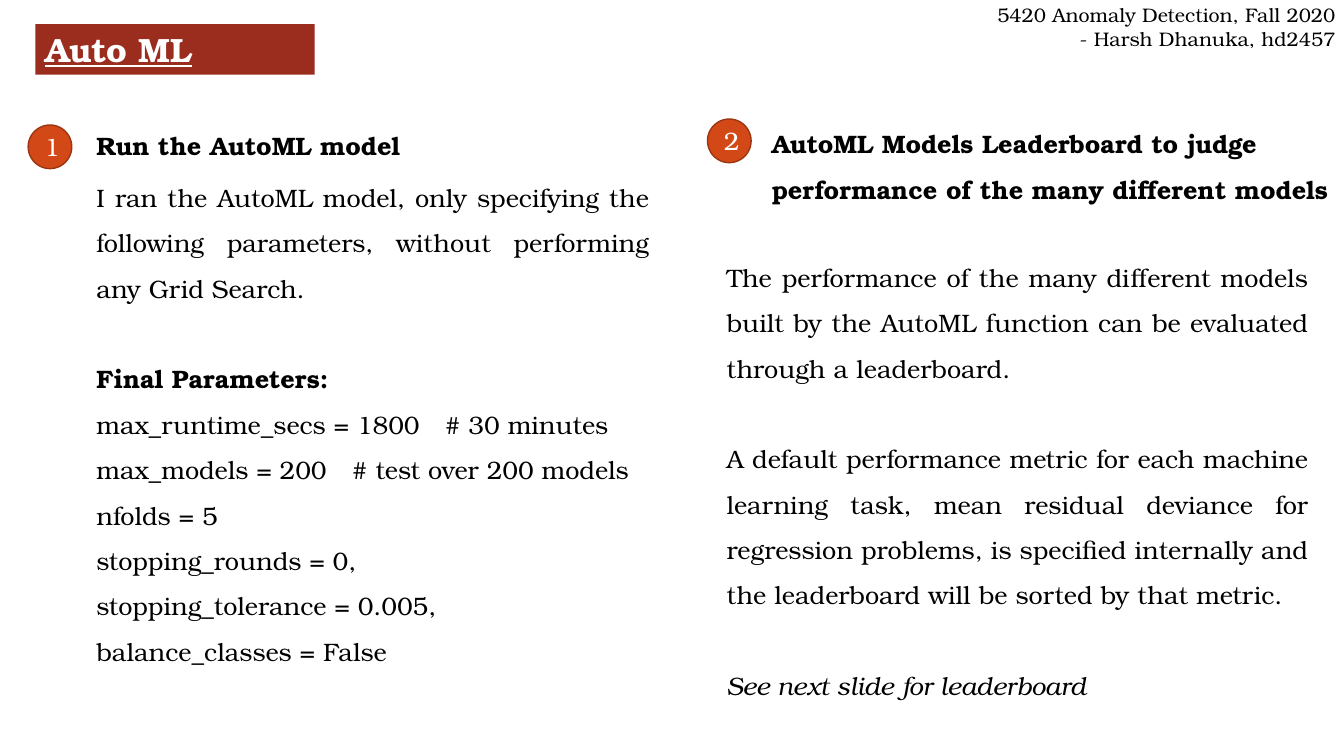
from dataclasses import dataclass

from lxml.etree import SubElement
from pptx import Presentation
from pptx.dml.color import RGBColor
from pptx.enum.shapes import MSO_SHAPE
from pptx.enum.text import MSO_ANCHOR, PP_ALIGN
from pptx.oxml.ns import qn
from pptx.shapes.autoshape import Shape
from pptx.slide import Slide
from pptx.util import Cm, Pt

FONT_NAME = "TeX Gyre Bonum"
BLACK, WHITE = "000000", "FFFFFF"
BANNER_RED, BADGE_ORANGE, BADGE_OUTLINE = "9B2D1F", "D34817", "9C3511"
BLANK_LINE = 32.4
BADGE_SIZE = 1.1
COMMENT_STOPS = (6.44, 8.78)


@dataclass(frozen=True)
class Line:
    text: str
    size: float = 18
    color: str = BLACK
    bold: bool = False
    italic: bool = False
    underline: bool = False
    align: PP_ALIGN = PP_ALIGN.LEFT
    spacing: float = 1.0
    gap_before: float = 0
    tab_stops: tuple[float, ...] = ()


@dataclass(frozen=True)
class TextBlock:
    left: float
    top: float
    width: float
    height: float
    lines: tuple[Line, ...]


@dataclass(frozen=True)
class Badge:
    left: float
    top: float
    number: str


def body(text: str, gap_before: float = 0, bold: bool = False,
         italic: bool = False, tab_stops: tuple[float, ...] = ()) -> Line:
    return Line(text, bold=bold, italic=italic, align=PP_ALIGN.JUSTIFY,
                spacing=1.5, gap_before=gap_before, tab_stops=tab_stops)


TITLE = TextBlock(0.89, 0.61, 7.04, 1.27, (
    Line("Auto ML", size=24, color=WHITE, bold=True, underline=True),
))

TEXT_BLOCKS = (
    TextBlock(22.99, -0.05, 10.92, 1.45, (
        Line("5420 Anomaly Detection, Fall 2020", size=14, align=PP_ALIGN.RIGHT),
        Line("- Harsh Dhanuka, hd2457", size=14, align=PP_ALIGN.RIGHT),
    )),
    TextBlock(2.18, 3.15, 14.71, 1.02, (Line("Run the AutoML model", bold=True),)),
    TextBlock(2.18, 4.09, 14.43, 12.8, (
        body("I ran the AutoML model, only specifying the following parameters, "
             "without performing any Grid Search."),
        body("Final Parameters:", gap_before=BLANK_LINE, bold=True),
        body("max_runtime_secs = 1800\t# 30 minutes", tab_stops=COMMENT_STOPS),
        body("max_models = 200\t# test over 200 models", tab_stops=COMMENT_STOPS),
        body("nfolds = 5"),
        body("stopping_rounds = 0,"),
        body("stopping_tolerance = 0.005,"),
        body("balance_classes = False"),
    )),
    TextBlock(19.2, 2.74, 14.71, 2.44, (
        Line("AutoML Models Leaderboard to judge performance of the many "
             "different models", bold=True, spacing=1.5),
    )),
    TextBlock(18.06, 6.1, 15.16, 11.66, (
        body("The performance of the many different models built by the AutoML "
             "function can be evaluated through a leaderboard."),
        body("A default performance metric for each machine learning task, mean "
             "residual deviance for regression problems, is specified internally "
             "and the leaderboard will be sorted by that metric.",
             gap_before=BLANK_LINE),
        body("See next slide for leaderboard", gap_before=BLANK_LINE, italic=True),
    )),
)

BADGES = (Badge(0.71, 3.15, "1"), Badge(17.83, 3.0, "2"))


def rgb(hex_color: str) -> RGBColor:
    return RGBColor.from_string(hex_color)


def write_lines(shape: Shape, lines: tuple[Line, ...], anchor: MSO_ANCHOR) -> None:
    frame = shape.text_frame
    frame.word_wrap = True
    frame.vertical_anchor = anchor
    for index, line in enumerate(lines):
        paragraph = frame.add_paragraph() if index else frame.paragraphs[0]
        paragraph.text = line.text
        paragraph.alignment = line.align
        paragraph.line_spacing = line.spacing
        paragraph.space_before = Pt(line.gap_before)
        if line.tab_stops:
            tab_list = SubElement(paragraph._p.get_or_add_pPr(), qn("a:tabLst"))
            for stop in line.tab_stops:
                SubElement(tab_list, qn("a:tab"), pos=str(Cm(stop)), algn="l")
        font = paragraph.font
        font.name = FONT_NAME
        font.size = Pt(line.size)
        font.bold = line.bold
        font.italic = line.italic
        font.underline = line.underline
        font.color.rgb = rgb(line.color)


def draw_text_block(slide: Slide, block: TextBlock) -> None:
    shape = slide.shapes.add_textbox(
        Cm(block.left), Cm(block.top), Cm(block.width), Cm(block.height))
    write_lines(shape, block.lines, MSO_ANCHOR.TOP)


def draw_title(slide: Slide, title: TextBlock) -> None:
    shape = slide.shapes.add_shape(
        MSO_SHAPE.RECTANGLE,
        Cm(title.left), Cm(title.top), Cm(title.width), Cm(title.height))
    shape.shadow.inherit = False
    shape.fill.solid()
    shape.fill.fore_color.rgb = rgb(BANNER_RED)
    shape.line.fill.background()
    write_lines(shape, title.lines, MSO_ANCHOR.TOP)


def draw_badge(slide: Slide, badge: Badge) -> None:
    shape = slide.shapes.add_shape(
        MSO_SHAPE.OVAL,
        Cm(badge.left), Cm(badge.top), Cm(BADGE_SIZE), Cm(BADGE_SIZE))
    shape.shadow.inherit = False
    shape.fill.solid()
    shape.fill.fore_color.rgb = rgb(BADGE_ORANGE)
    shape.line.color.rgb = rgb(BADGE_OUTLINE)
    shape.line.width = Pt(1)
    number = Line(badge.number, color=WHITE, align=PP_ALIGN.CENTER)
    write_lines(shape, (number,), MSO_ANCHOR.MIDDLE)


def main() -> None:
    presentation = Presentation()
    presentation.slide_width = Cm(33.87)
    presentation.slide_height = Cm(19.05)
    slide = presentation.slides.add_slide(presentation.slide_layouts[6])
    draw_title(slide, TITLE)
    for block in TEXT_BLOCKS:
        draw_text_block(slide, block)
    for badge in BADGES:
        draw_badge(slide, badge)
    presentation.save("out.pptx")


if __name__ == "__main__":
    main()
